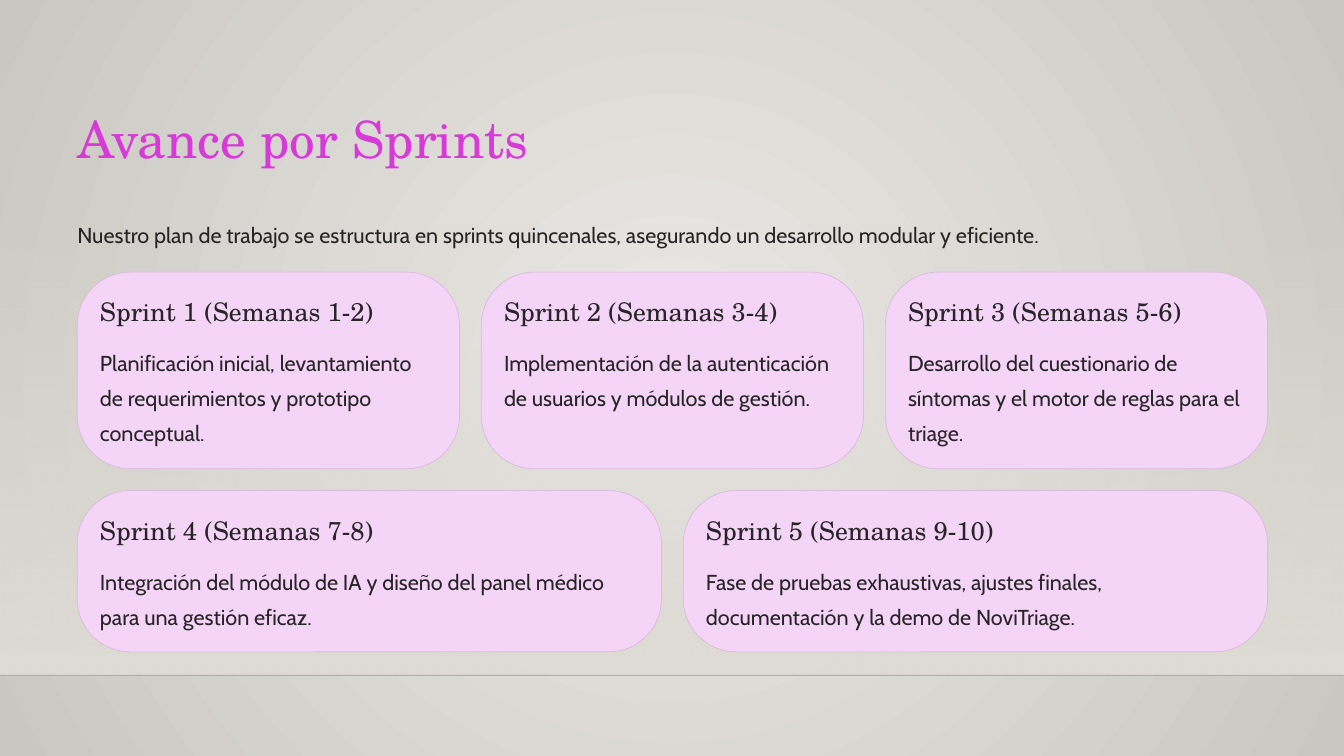
from dataclasses import dataclass
from lxml import etree
from pptx import Presentation
from pptx.dml.color import RGBColor
from pptx.enum.shapes import MSO_CONNECTOR, MSO_SHAPE
from pptx.enum.text import MSO_ANCHOR, MSO_AUTO_SIZE, PP_ALIGN
from pptx.oxml import parse_xml
from pptx.oxml.ns import nsdecls, qn
from pptx.util import Inches, Pt


@dataclass(frozen=True)
class Theme:
    ink: str = "272525"
    card: str = "F4D4F7"
    border: str = "DABADD"
    glow: str = "ECEAE7"
    edge: str = "CAC7C1"
    wall: str = "DFDBD5"
    rule: str = "000001"
    title: tuple = ("TeX Gyre Schola", 44, 55, "D73AD7")
    heading: tuple = ("TeX Gyre Schola", 22, 27.5, ink)
    body: tuple = ("Cabin", 18.5, 30, ink)


theme = Theme()


def write(shape, box, text, style, wrap):
    name, size, leading, color = style
    shape.left, shape.top, shape.width, shape.height = [Inches(v) for v in box]
    tf = shape.text_frame
    tf.margin_left = tf.margin_right = tf.margin_top = tf.margin_bottom = 0
    tf.auto_size = MSO_AUTO_SIZE.NONE
    tf.word_wrap = wrap
    tf.vertical_anchor = MSO_ANCHOR.TOP
    p = tf.paragraphs[0]
    p.alignment = PP_ALIGN.LEFT
    p.line_spacing = Pt(leading)
    p.space_before = Pt(0)
    r = p.add_run()
    r.text = text
    r.font.name = name
    r.font.size = Pt(size)
    r.font.color.rgb = RGBColor.from_string(color)
    return p


def set_gradient(props, start, end, alpha, direction):
    grad = parse_xml(
        f'<a:gradFill {nsdecls("a")} rotWithShape="1"><a:gsLst>'
        f'<a:gs pos="0"><a:srgbClr val="{start}"><a:alpha val="{alpha}"/></a:srgbClr></a:gs>'
        f'<a:gs pos="100000"><a:srgbClr val="{end}"/></a:gs>'
        f'</a:gsLst>{direction}</a:gradFill>')
    props.replace(props.find(qn("a:solidFill")), grad)


prs = Presentation()
prs.slide_width, prs.slide_height = Inches(16), Inches(9)
s = prs.slides.add_slide(prs.slide_layouts[1])

s.background.fill.solid()
set_gradient(s.element.find(".//" + qn("p:bgPr")), theme.glow, theme.edge, 100000,
             '<a:path path="circle"><a:fillToRect l="50000" t="50000" r="50000" b="50000"/></a:path>')

wall = s.shapes.add_shape(MSO_SHAPE.RECTANGLE, 0, Inches(2.65), Inches(16), Inches(5.39))
wall.shadow.inherit = False
wall.line.fill.background()
wall.fill.solid()
set_gradient(wall.element.spPr, theme.wall, theme.wall, 0, '<a:lin ang="5400000" scaled="0"/>')

rule = s.shapes.add_connector(MSO_CONNECTOR.STRAIGHT, 0, Inches(8.04), Inches(16), Inches(8.04))
rule.line.width = Pt(1)
rule.line.color.rgb = RGBColor.from_string(theme.rule)
rule_color = rule.element.spPr.find(".//" + qn("a:srgbClr"))
etree.SubElement(rule_color, qn("a:alpha")).set("val", "20000")
etree.SubElement(rule.element.spPr, qn("a:effectLst"))

tree = s.shapes.element
tree.insert(2, wall.element)
tree.insert(3, rule.element)

left, content_width, gap, pad = 0.92, 14.17, 0.26, 0.27
write(s.shapes.title, (left, 1.24, 6.16, 0.77), "Avance por Sprints", theme.title, False)
p = write(s.placeholders[1], (left, 2.53, content_width, 0.42),
          "Nuestro plan de trabajo se estructura en sprints quincenales, "
          "asegurando un desarrollo modular y eficiente.", theme.body, False)
pPr = p._p.get_or_add_pPr()
pPr.set("marL", "0")
pPr.set("indent", "0")
etree.SubElement(pPr, qn("a:buNone"))

rows = [
    (3.24, 2.34, [
        ("Sprint 1 (Semanas 1-2)",
         "Planificación inicial, levantamiento de requerimientos y prototipo conceptual."),
        ("Sprint 2 (Semanas 3-4)",
         "Implementación de la autenticación de usuarios y módulos de gestión."),
        ("Sprint 3 (Semanas 5-6)",
         "Desarrollo del cuestionario de síntomas y el motor de reglas para el triage."),
    ]),
    (5.84, 1.92, [
        ("Sprint 4 (Semanas 7-8)",
         "Integración del módulo de IA y diseño del panel médico para una gestión eficaz."),
        ("Sprint 5 (Semanas 9-10)",
         "Fase de pruebas exhaustivas, ajustes finales, documentación y la demo de NoviTriage."),
    ]),
]
corner = 0.63

for top, height, sprints in rows:
    width = (content_width - gap * (len(sprints) - 1)) / len(sprints)
    for i, (heading, detail) in enumerate(sprints):
        x = left + i * (width + gap)
        card = s.shapes.add_shape(MSO_SHAPE.ROUNDED_RECTANGLE, Inches(x), Inches(top),
                                  Inches(width), Inches(height))
        card.adjustments[0] = corner / height
        card.shadow.inherit = False
        card.fill.solid()
        card.fill.fore_color.rgb = RGBColor.from_string(theme.card)
        card.line.color.rgb = RGBColor.from_string(theme.border)
        card.line.width = Pt(0.6)
        inner = width - 2 * pad
        for text, style, dy, h, wrap in [
            (heading, theme.heading, pad, 0.38, False),
            (detail, theme.body, 0.82, height - 0.82 - pad, True),
        ]:
            box = s.shapes.add_textbox(0, 0, 0, 0)
            write(box, (x + pad, top + dy, inner, h), text, style, wrap)

prs.save("out.pptx")
